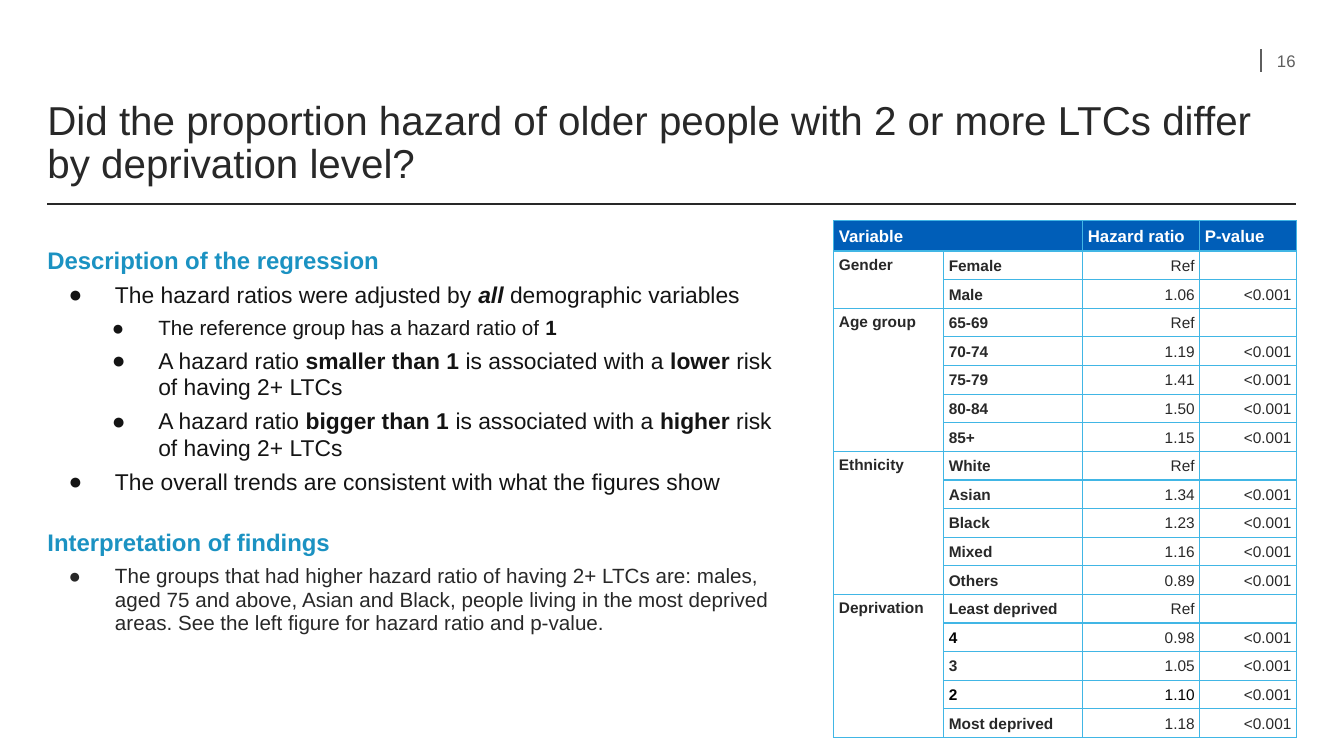
from lxml.etree import SubElement
from pptx import Presentation
from pptx.dml.color import RGBColor
from pptx.enum.shapes import MSO_CONNECTOR as Connector
from pptx.enum.text import MSO_ANCHOR as Anchor, PP_ALIGN as Align
from pptx.oxml.ns import qn
from pptx.util import Inches, Pt

COLORS = {"ink": "282828", "text": "141414", "grey": "5E5E5E", "heading": "1B92C2",
          "header": "005EB8", "border": "41B6E5", "white": "FFFFFF", "black": "000000"}
LEFT, RIGHT = 0.47, 12.85
WIDTH = RIGHT - LEFT


def style(paragraph, size, color, bold=False, align=Align.LEFT):
    paragraph.alignment = align
    font = paragraph.font
    font.name, font.size, font.bold = "Arial", Pt(size), bold
    font.color.rgb = RGBColor.from_string(COLORS[color])


def text_frame(left, top, width, height, anchor):
    """Add a wrapping text box without margins and return its frame."""
    box = slide.shapes.add_textbox(*map(Inches, (left, top, width, height)))
    frame = box.text_frame
    frame.word_wrap, frame.vertical_anchor = True, anchor
    frame.margin_left = frame.margin_right = frame.margin_top = frame.margin_bottom = 0
    return frame


deck = Presentation()
deck.slide_width, deck.slide_height = Inches(13.33), Inches(7.5)
slide = deck.slides.add_slide(deck.slide_layouts[6])

# Rules under the title and beside the page number
for ends, color in (((LEFT, 2.02, RIGHT, 2.02), "ink"), ((12.51, 0.71, 12.51, 0.49), "grey")):
    rule = slide.shapes.add_connector(Connector.STRAIGHT, *map(Inches, ends))
    rule.line.color.rgb = RGBColor.from_string(COLORS[color])
    rule.line.width = Pt(1.5)
    SubElement(rule._element.spPr, qn("a:effectLst"))

# Findings: indent level (None for a heading), size, colour, space before, text with *bold* parts
findings = [
    (None, 17.1, "heading", 6, "Description of the regression"),
    (0, 16.3, "text", 6, "The hazard ratios were adjusted by *all *demographic variables"),
    (1, 14.7, "text", 6, "The reference group has a hazard ratio of *1*"),
    (1, 16.3, "text", 6, "A hazard ratio *smaller than 1 *is associated with a *lower *risk of having 2+ LTCs"),
    (1, 16.3, "text", 6, "A hazard ratio *bigger than 1 *is associated with a *higher *risk of having 2+ LTCs"),
    (0, 16.3, "text", 6, "The overall trends are consistent with what the figures show"),
    (None, 17.1, "heading", 27, "Interpretation of findings"),
    (0, 14.7, "ink", 6, "The groups that had higher hazard ratio of having 2+ LTCs are: males, aged 75 and above, "
     "Asian and Black, people living in the most deprived areas. "
     "See the left figure for hazard ratio and p-value."),
]
body = text_frame(LEFT, 2.49, 7.38, 4.53, Anchor.TOP)
for number, (level, size, color, gap, wording) in enumerate(findings):
    finding = body.add_paragraph() if number else body.paragraphs[0]
    is_heading = level is None
    finding.line_spacing = 0.8 if is_heading else 0.95
    finding.space_before = Pt(gap)
    if not is_heading:
        finding.level = level
        props = finding._p.get_or_add_pPr()
        props.set("marL", str(Inches((0.67, 1.1)[level])))
        props.set("indent", str(Inches(-0.46)))
        SubElement(SubElement(props, qn("a:buClr")), qn("a:srgbClr"), val=COLORS[color])
        SubElement(props, qn("a:buFont"), typeface="Arial")
        SubElement(props, qn("a:buChar"), char="●")
    style(finding, size, color, is_heading)
    for position, part in enumerate(wording.split("*")):
        if part:
            run = finding.add_run()
            run.text = part
            if position % 2:
                run.font.bold = True
                run.font.italic = True if part == "all " else None

title = text_frame(LEFT, 1.25, WIDTH, 0.61, Anchor.BOTTOM).paragraphs[0]
title.text = "Did the proportion hazard of older people with 2 or more LTCs differ by deprivation level?"
title.line_spacing = 0.9
style(title, 28.8, "ink")

page = text_frame(12.56, 0.49, 0.29, 0.23, Anchor.MIDDLE).paragraphs[0]
page.text = "16"
style(page, 12, "grey", align=Align.RIGHT)

# Hazard ratios; the first category of each group is the reference
groups = {
    "Gender": [("Female", "Ref"), ("Male", "1.06")],
    "Age group": [("65-69", "Ref"), ("70-74", "1.19"), ("75-79", "1.41"), ("80-84", "1.50"), ("85+", "1.15")],
    "Ethnicity": [("White", "Ref"), ("Asian", "1.34"), ("Black", "1.23"), ("Mixed", "1.16"), ("Others", "0.89")],
    "Deprivation": [("Least deprived", "Ref"), ("4", "0.98"), ("3", "1.05"), ("2", "1.10"),
                    ("Most deprived", "1.18")],
}
black_cells = {"4", "2", "1.10"}
rows = [("Variable", "", "Hazard ratio", "P-value")]
merges = [(0, 0, 0, 1)]
for group, categories in groups.items():
    merges.append((len(rows), 0, len(rows) + len(categories) - 1, 0))
    for order, (category, ratio) in enumerate(categories):
        rows.append(("" if order else group, category, ratio, "<0.001" if order else ""))

column_widths = (1.09, 1.38, 1.16, 0.96)
row_height = 0.27
table = slide.shapes.add_table(len(rows), len(column_widths), Inches(8.27), Inches(2.19),
                               Inches(sum(column_widths)), Inches(row_height * len(rows))).table
for column, width in zip(table.columns, column_widths):
    column.width = Inches(width)
for row in table.rows:
    row.height = Inches(row_height)

for row_index, values in enumerate(rows):
    is_header = row_index == 0
    for column_index, value in enumerate(values):
        cell = table.cell(row_index, column_index)
        cell.margin_left = cell.margin_right = cell.margin_top = cell.margin_bottom = Inches(0.05)
        is_group = column_index == 0 and not is_header
        cell.vertical_anchor = Anchor.TOP if is_group else Anchor.BOTTOM
        is_number = column_index > 1 and not is_header
        entry = cell.text_frame.paragraphs[0]
        entry.text = value
        color = "white" if is_header else "black" if value in black_cells else "ink"
        style(entry, 12 if is_header else 11, color, not is_number, Align.RIGHT if is_number else Align.LEFT)
        cell_props = cell._tc.get_or_add_tcPr()
        for side in ("lnL", "lnR", "lnT", "lnB"):
            edge = SubElement(cell_props, qn(f"a:{side}"), w=str(Pt(1)))
            SubElement(SubElement(edge, qn("a:solidFill")), qn("a:srgbClr"), val=COLORS["border"])
        cell.fill.solid()
        cell.fill.fore_color.rgb = RGBColor.from_string(COLORS["header" if is_header else "white"])

for top, first, bottom, last in merges:
    table.cell(top, first).merge(table.cell(bottom, last))

deck.save("out.pptx")
